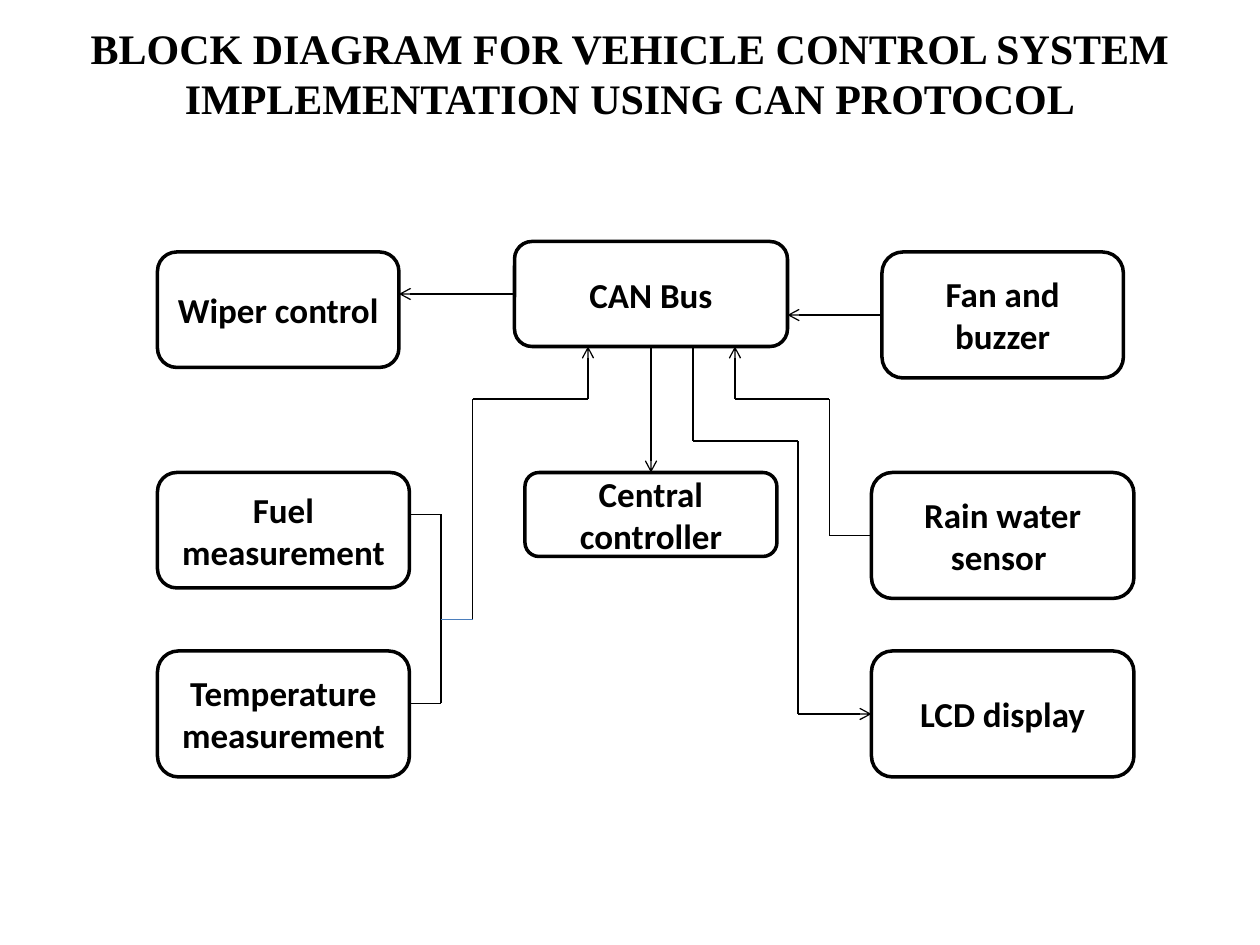
import pptx
import pptx.util
import pptx.dml.color
import pptx.enum.shapes
import pptx.enum.text
import pptx.oxml
import pptx.oxml.ns
from itertools import pairwise

Pt = pptx.util.Pt
RGB = pptx.dml.color.RGBColor.from_string
MID = pptx.enum.text.MSO_ANCHOR.MIDDLE
CENTER = pptx.enum.text.PP_ALIGN.CENTER

theme = {
    "ink": RGB("000000"), "paper": RGB("FFFFFF"), "accent": RGB("4B7EBC"),
    "head": ("Times New Roman", Pt(24)), "body": ("Calibri", Pt(20)),
    "edge": Pt(2), "wire": Pt(0.75),
}

deck = pptx.Presentation()
deck.slide_width, deck.slide_height = pptx.util.Inches(10), pptx.util.Inches(7.5)
cell = deck.slide_width // 120  # grid of 120 columns by 90 rows
slide = deck.slides.add_slide(deck.slide_layouts[5])


def style(frame, font):
    """Centre the text and set its font."""
    frame.word_wrap = True
    frame.vertical_anchor = MID
    for para in frame.paragraphs:
        para.alignment = CENTER
        for run in para.runs:
            run.font.name, run.font.size = font
            run.font.bold = True
            run.font.color.rgb = theme["ink"]


def wire(start, end, color, arrow):
    """Draw one straight line between two grid points."""
    line = slide.shapes.add_connector(
        pptx.enum.shapes.MSO_CONNECTOR.STRAIGHT,
        *(n * cell for n in (*start, *end)))
    line.line.color.rgb = color
    line.line.width = theme["wire"]
    props = line._element.spPr
    if arrow:
        tail = pptx.oxml.parse_xml(
            f'<a:tailEnd {pptx.oxml.ns.nsdecls("a")} type="arrow"/>')
        props.find(pptx.oxml.ns.qn("a:ln")).append(tail)
    props.append(pptx.oxml.parse_xml(
        f'<a:effectLst {pptx.oxml.ns.nsdecls("a")}/>'))


# Title, with room kept free below its two lines
title = slide.shapes.title
title.left, title.top = 6 * cell, round(3.6 * cell)
title.width, title.height = 108 * cell, round(11.4 * cell)
frame = title.text_frame
frame.text = "BLOCK DIAGRAM FOR VEHICLE CONTROL SYSTEM IMPLEMENTATION USING CAN PROTOCOL"
frame.auto_size = pptx.enum.text.MSO_AUTO_SIZE.NONE
frame.margin_bottom = round(5.4 * cell)
style(frame, theme["head"])

# Blocks: text, column, row, columns wide, rows high
blocks = [
    ("Temperature\nmeasurement", 15, 62, 24, 12),
    ("CAN Bus", 49, 23, 26, 10),
    ("Wiper control", 15, 24, 23, 11),
    ("Central controller", 50, 45, 24, 8),
    ("Rain water sensor ", 83, 45, 25, 12),
    ("Fuel measurement", 15, 45, 24, 11),
    ("LCD display", 83, 62, 25, 12),
    ("Fan and buzzer", 84, 24, 23, 12),
]
for text, *place in blocks:
    block = slide.shapes.add_shape(
        pptx.enum.shapes.MSO_SHAPE.ROUNDED_RECTANGLE, *(n * cell for n in place))
    block.shadow.inherit = False
    block.fill.solid()
    block.fill.fore_color.rgb = theme["paper"]
    block.line.color.rgb = theme["ink"]
    block.line.width = theme["edge"]
    block.text_frame.text = text
    style(block.text_frame, theme["body"])

# Routes: corner points, colour, arrow at the end
routes = [
    ([(62, 33), (62, 45)], "ink", True),                      # bus to controller
    ([(39, 49), (42, 49), (42, 67), (39, 67)], "ink", False),  # fuel and temperature
    ([(42, 59), (45, 59)], "accent", False),
    ([(45, 59), (45, 38), (56, 38), (56, 33)], "ink", True),  # both to bus
    ([(66, 33), (66, 42), (76, 42), (76, 68), (83, 68)], "ink", True),  # bus to LCD
    ([(83, 51), (79, 51), (79, 38), (70, 38), (70, 33)], "ink", True),  # rain to bus
    ([(49, 28), (38, 28)], "ink", True),                      # bus to wiper
    ([(84, 30), (75, 30)], "ink", True),                      # fan to bus
]
for points, color, arrow in routes:
    for start, end in pairwise(points):
        wire(start, end, theme[color], arrow and end == points[-1])

deck.save("out.pptx")
